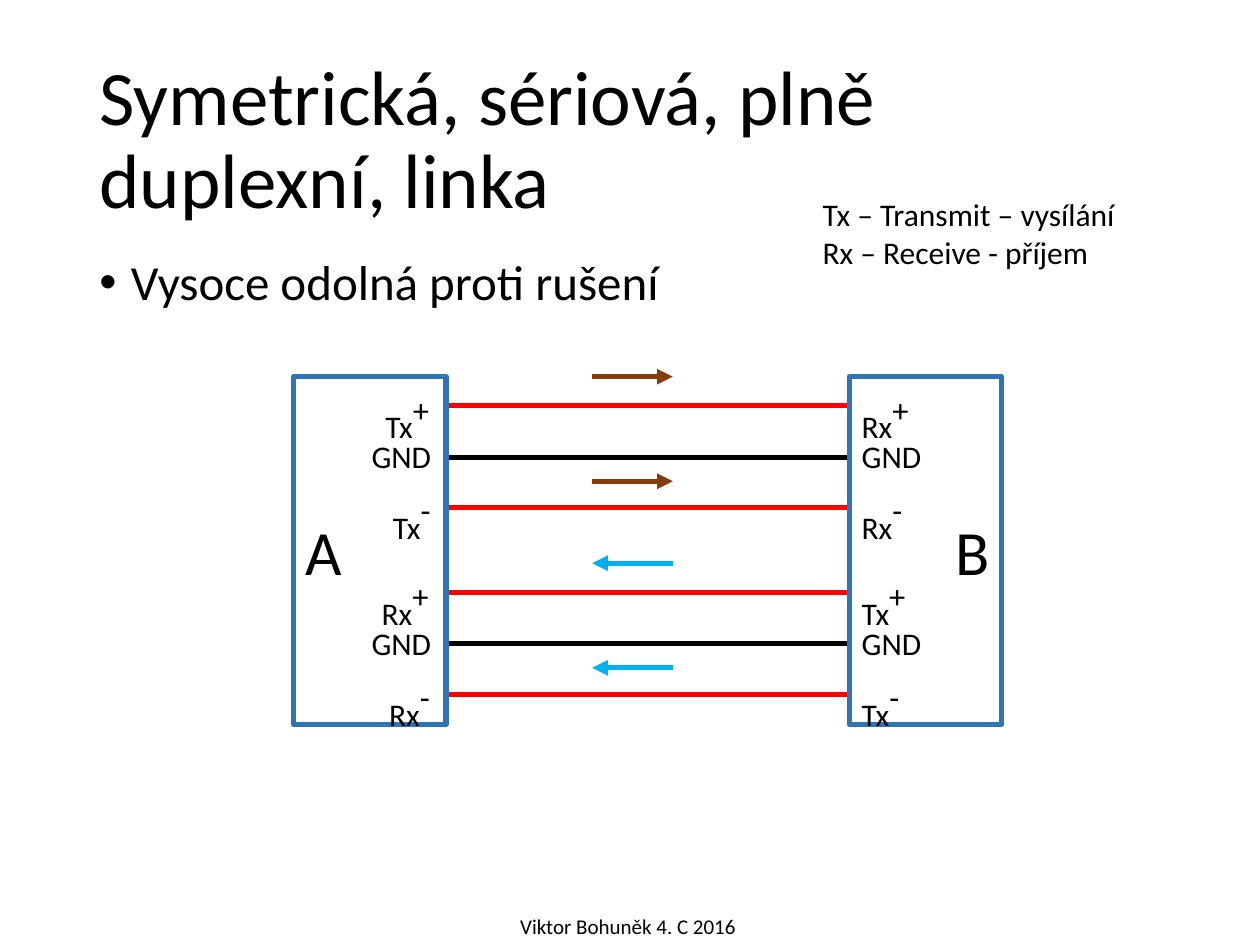
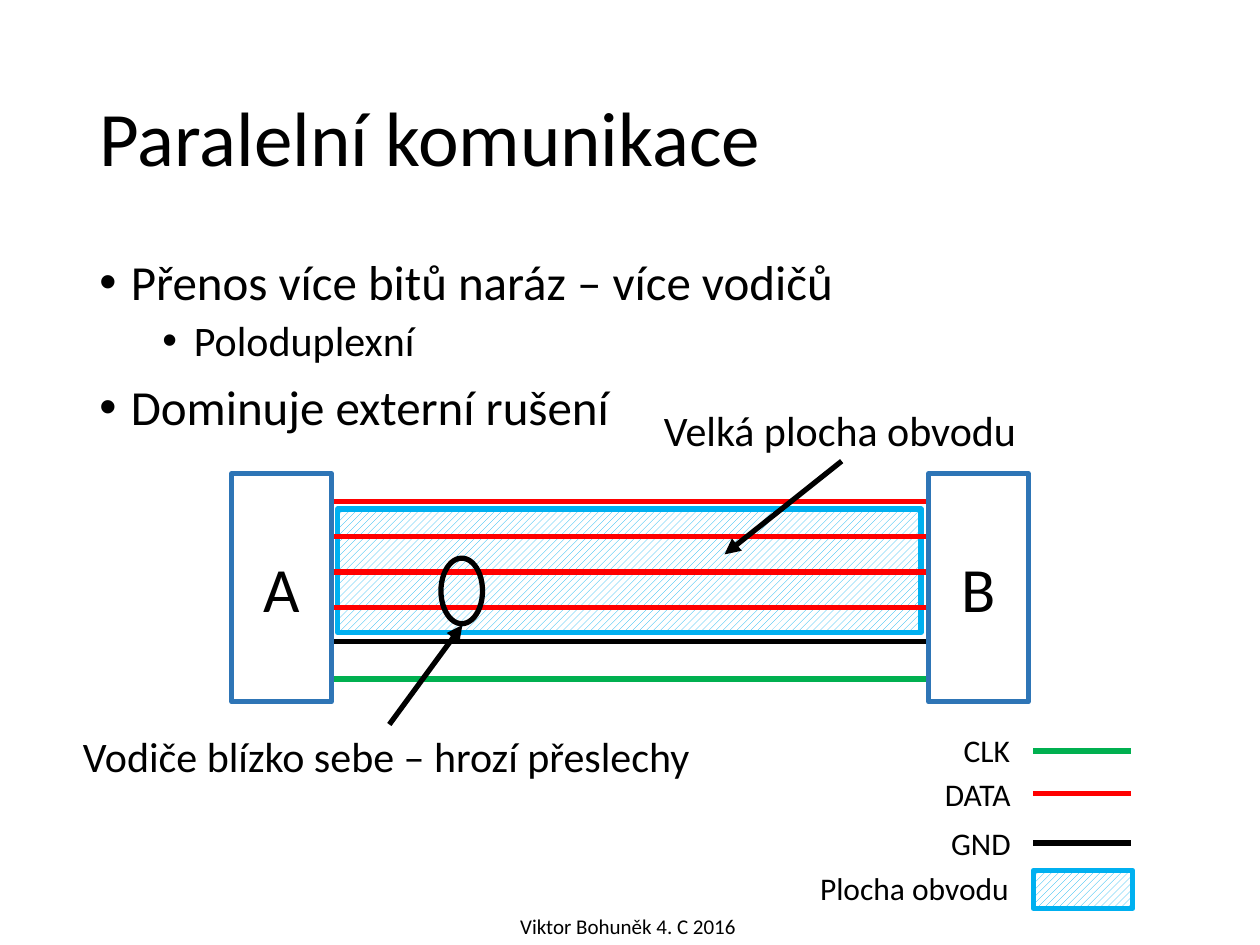
from lxml import etree
from pptx import Presentation
from pptx import util as u
from pptx.dml.color import RGBColor
from pptx.enum import dml, shapes, text
from pptx.oxml.ns import qn

BLACK = RGBColor(0x00, 0x00, 0x00)
WHITE = RGBColor(0xFF, 0xFF, 0xFF)
RED = RGBColor(0xFF, 0x00, 0x00)
GREEN = RGBColor(0x00, 0xB0, 0x50)
BLUE = RGBColor(0x2E, 0x75, 0xB6)
SKY = RGBColor(0x00, 0xB0, 0xF0)
BROWN = RGBColor(0x84, 0x3C, 0x0B)
FONT = "Calibri"
LEFT, CENTER, RIGHT = text.PP_ALIGN.LEFT, text.PP_ALIGN.CENTER, text.PP_ALIGN.RIGHT
RECT, OVAL = shapes.MSO_SHAPE.RECTANGLE, shapes.MSO_SHAPE.OVAL
STROKE = u.Pt(3)


def add_box(s, at, lines=(), size=18, kind=None, edge=BLUE, fill=None, align=LEFT, sup=""):
    """Add a text box, or an outlined preset shape, with one paragraph per line."""
    at = [u.Inches(v) for v in at]
    sp = s.shapes.add_shape(kind, *at) if kind else s.shapes.add_textbox(*at)
    tf = sp.text_frame
    if kind:
        sp.shadow.inherit = False
        sp.line.color.rgb, sp.line.width = edge, STROKE
        tf.vertical_anchor = text.MSO_ANCHOR.MIDDLE
        if fill == "hatch":
            sp.fill.patterned()
            sp.fill.pattern = dml.MSO_PATTERN.WIDE_UPWARD_DIAGONAL
            sp.fill.fore_color.rgb, sp.fill.back_color.rgb = SKY, WHITE
        elif fill is None:
            sp.fill.background()
        else:
            sp.fill.solid()
            sp.fill.fore_color.rgb = fill
    else:
        tf.word_wrap = len(lines) > 1
        tf.auto_size = text.MSO_AUTO_SIZE.SHAPE_TO_FIT_TEXT
    for i, line in enumerate(lines):
        p = tf.add_paragraph() if i else tf.paragraphs[0]
        p.alignment = align
        for words, pt in [(line, size)] + ([(sup, 32)] if sup else []):
            r = p.add_run()
            r.text = words
            for name, value in {"name": FONT, "size": u.Pt(pt)}.items():
                setattr(r.font, name, value)
            r.font.color.rgb = BLACK
        if sup:
            r.font._element.set("baseline", "30000")
    return sp


def add_line(s, x1, y1, x2, y2, color, arrow=False):
    """Add a straight line, with an arrowhead at its end if asked."""
    ends = [u.Inches(v) for v in (x1, y1, x2, y2)]
    cx = s.shapes.add_connector(shapes.MSO_CONNECTOR.STRAIGHT, *ends)
    cx.line.color.rgb, cx.line.width = color, STROKE
    if arrow:
        etree.SubElement(cx.line._get_or_add_ln(), qn("a:tailEnd"), type="triangle")
    etree.SubElement(cx._element.spPr, qn("a:effectLst"))


prs = Presentation()
prs.slide_width, prs.slide_height = u.Inches(10), u.Inches(7.5)

# Shared frame: title, bullets and footer
BULLET_STYLES = [
    {"size": 28, "before": 10, "margin": 0.25},
    {"size": 24, "before": 5, "margin": 0.75},
]
contents = [
    ("Symetrická, sériová, plně duplexní, linka", 0.6,
     [("Vysoce odolná proti rušení", 0)]),
    ("Paralelní komunikace", 1.58,
     [("Přenos více bitů naráz – více vodičů", 0), ("Poloduplexní", 1),
      ("Dominuje externí rušení", 0)]),
]
for title, body_height, bullets in contents:
    s = prs.slides.add_slide(prs.slide_layouts[5])
    sp = s.shapes.title
    for name, value in {"left": 0.69, "top": 0.4, "width": 8.62, "height": 1.45}.items():
        setattr(sp, name, u.Inches(value))
    tf = sp.text_frame
    tf.text = title
    tf.auto_size = text.MSO_AUTO_SIZE.NONE
    tf.vertical_anchor = text.MSO_ANCHOR.MIDDLE
    p = tf.paragraphs[0]
    p.alignment, p.line_spacing = LEFT, 0.9
    font = p.runs[0].font
    font.name, font.size, font.color.rgb = FONT, u.Pt(44), BLACK

    body = add_box(s, (0.69, 2, 8.62, body_height), [words for words, level in bullets])
    tf = body.text_frame
    tf.word_wrap, tf.auto_size = True, text.MSO_AUTO_SIZE.NONE
    for p, (words, level) in zip(tf.paragraphs, bullets):
        style = BULLET_STYLES[level]
        p.level, p.line_spacing, p.space_before = level, 0.9, u.Pt(style["before"])
        p.runs[0].font.size = u.Pt(style["size"])
        pPr = p._p.get_or_add_pPr()
        pPr.set("marL", str(u.Inches(style["margin"])))
        pPr.set("indent", str(u.Inches(-0.25)))
        etree.SubElement(pPr, qn("a:buFont"), typeface="Arial")
        etree.SubElement(pPr, qn("a:buChar"), char="•")

    add_box(s, (4.03, 7.2, 1.93, 0.3), ["Viktor Bohuněk 4. C 2016"], 12)

serial, parallel = prs.slides

# Serial link: two groups of three wires, one per direction
GROUP_TOPS = (2.99, 4.47)
for top in GROUP_TOPS:
    for dy, color in ((0.23, RED), (0.64, BLACK), (1.04, RED)):
        add_line(serial, 3.39, top + dy, 6.94, top + dy, color)
for x, name, align in ((2.33, "A", LEFT), (6.74, "B", RIGHT)):
    add_box(serial, (x, 2.99, 1.21, 2.76), [name], 36, RECT, fill=WHITE, align=align)

PIN_WIDTHS = {"Tx+": 0.57, "Tx-": 0.51, "Rx+": 0.6, "Rx-": 0.54, "GND": 0.68}
for top, pins in zip(GROUP_TOPS, (("Tx", "Rx"), ("Rx", "Tx"))):
    for side, pin in enumerate(pins):
        for dy, sign in ((0, "+"), (0.43, ""), (0.8, "-")):
            name = pin if sign else "GND"
            width = PIN_WIDTHS[name + sign]
            x = 6.74 if side else 3.53 - width
            add_box(serial, (x, top + dy, width, 0.46 if sign else 0.4), [name], sup=sign)

for top, x1, x2, color in zip(GROUP_TOPS, (4.7, 5.34), (5.34, 4.7), (BROWN, SKY)):
    for y in (top, top + 0.83):
        add_line(serial, x1, y, x2, y, color, arrow=True)
add_box(serial, (6.43, 1.5, 3.02, 0.71), ["Tx – Transmit – vysílání", "Rx – Receive - příjem"])

# Parallel link: circuit area, four data wires, ground and clock
add_box(parallel, (2.68, 4.04, 4.63, 0.98), kind=RECT, edge=SKY, fill="hatch")
wires = [(3.98 + 0.28 * i, RED) for i in range(4)] + [(5.09, BLACK), (5.39, GREEN)]
for y, color in wires:
    add_line(parallel, 2.54, y, 7.45, y, color)
for x, name in ((1.84, "A"), (7.37, "B")):
    add_box(parallel, (x, 3.76, 0.79, 1.81), [name], 36, RECT, fill=WHITE, align=CENTER)

# Callouts
add_box(parallel, (3.5, 4.43, 0.33, 0.52), kind=OVAL, edge=BLACK)
add_line(parallel, 3.09, 5.75, 3.67, 4.96, BLACK, arrow=True)
add_box(parallel, (0.56, 5.75, 5.07, 0.5), ["Vodiče blízko sebe – hrozí přeslechy"], 24)
add_line(parallel, 6.68, 3.66, 5.75, 4.4, BLACK, arrow=True)
add_box(parallel, (5.17, 3.16, 3.03, 0.5), ["Velká plocha obvodu"], 24)

# Legend: labels end at one right edge, samples start at 8.2
legend = [
    ("CLK", 5.75, 0.58, 5.96, GREEN),
    ("DATA", 6.1, 0.73, 6.3, RED),
    ("GND", 6.49, 0.68, 6.69, BLACK),
    ("Plocha obvodu", 6.85, 1.72, None, None),
]
for name, top, width, y, color in legend:
    add_box(parallel, (8.13 - width, top, width, 0.4), [name])
    if color is not None:
        add_line(parallel, 8.2, y, 8.98, y, color)
add_box(parallel, (8.2, 6.91, 0.79, 0.3), kind=RECT, edge=SKY, fill="hatch")

prs.save("out.pptx")
